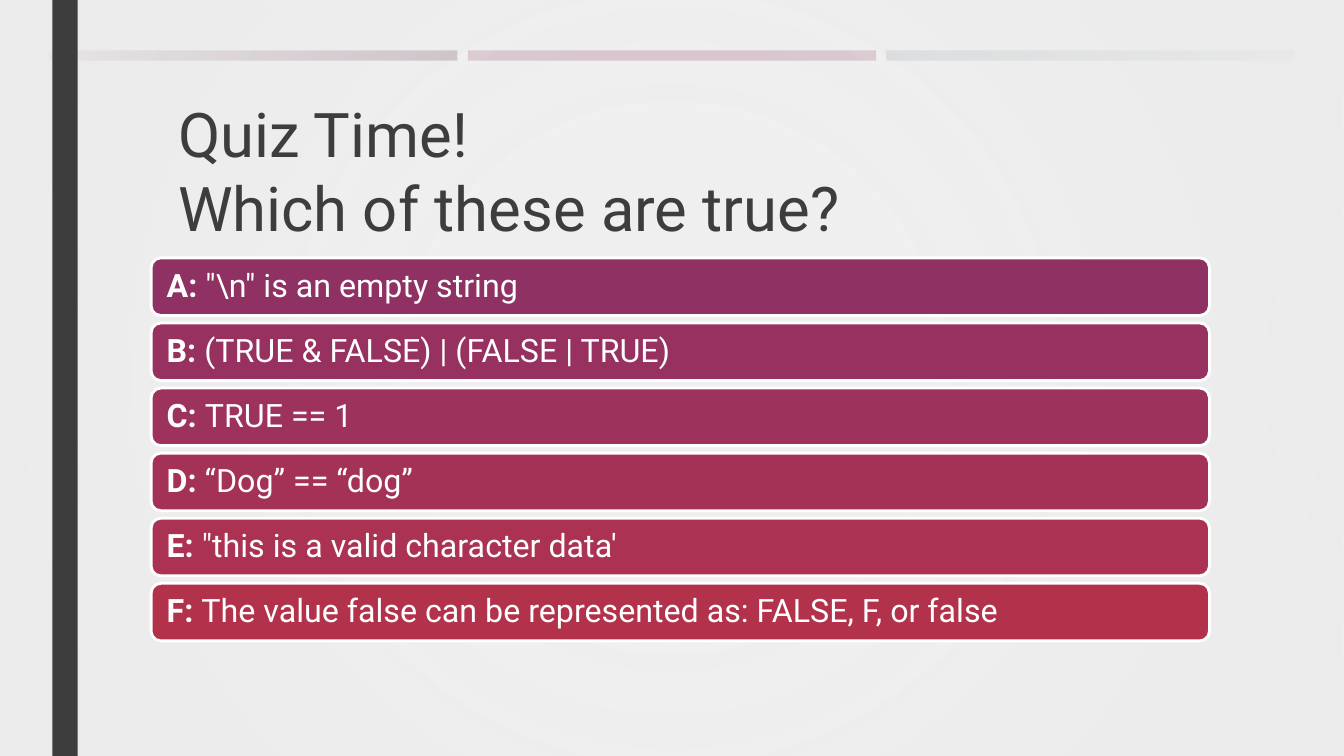
from lxml import etree
from pptx import Presentation
from pptx import util as u
from pptx.dml.color import RGBColor
from pptx.enum import shapes, text
from pptx.oxml import parse_xml
from pptx.oxml.ns import nsdecls, qn

ANSWERS = [
    ("A: ", '"\\n" is an empty string', "903163"),
    ("B: ", "(TRUE & FALSE) | (FALSE | TRUE)", "973160"),
    ("C: ", "TRUE == 1", "9D325C"),
    ("D: ", "“Dog” == “dog”", "A43257"),
    ("E: ", "\"this is a valid character data'", "AB3252"),
    ("F: ", "The value false can be represented as: FALSE, F, or false", "B2324B"),
]
TOP_BARS = [(1.24, "4D1434"), (11.79, "903163"), (22.33, "969FA7")]


def rgb(value):
    return RGBColor.from_string(value)


class QuizSlide:
    font = "Roboto"
    dark = "3D3D3D"
    light = "FFFFFF"
    veil_color = "EBEBEB"

    def __init__(self, prs):
        self.s = prs.slides.add_slide(prs.slide_layouts[6])

    def box(self, x, y, w, h, fill, kind=shapes.MSO_SHAPE.RECTANGLE, line=None):
        sp = self.s.shapes.add_shape(kind, u.Cm(x), u.Cm(y), u.Cm(w), u.Cm(h))
        sp.shadow.inherit = False
        sp.fill.solid()
        sp.fill.fore_color.rgb = rgb(fill)
        if line:
            sp.line.color.rgb = rgb(line)
            sp.line.width = u.Pt(2)
        else:
            sp.line.fill.background()
        return sp

    def veil(self, w, h):
        """Cover the slide with a radial fill, clearer in the middle."""
        sp = self.box(0, 0, w, h, self.veil_color)
        solid = sp.fill._xPr.find(qn("a:solidFill"))
        solid.getparent().replace(solid, parse_xml(
            f'<a:gradFill {nsdecls("a")} rotWithShape="1"><a:gsLst>'
            f'<a:gs pos="30000"><a:srgbClr val="{self.veil_color}">'
            '<a:alpha val="75000"/></a:srgbClr></a:gs>'
            f'<a:gs pos="100000"><a:srgbClr val="{self.veil_color}"/></a:gs>'
            '</a:gsLst><a:path path="circle">'
            '<a:fillToRect l="50000" t="50000" r="50000" b="50000"/>'
            '</a:path></a:gradFill>'))

    def style(self, r, size, color, bold=False):
        r.font.name = self.font
        r.font.size = u.Pt(size)
        r.font.bold = bold
        r.font.color.rgb = rgb(color)

    def title(self, x, y, w, h, lines):
        tf = self.s.shapes.add_textbox(u.Cm(x), u.Cm(y), u.Cm(w), u.Cm(h)).text_frame
        tf.word_wrap = True
        tf.vertical_anchor = text.MSO_ANCHOR.MIDDLE
        tf.text = "\n".join(lines)
        for p in tf.paragraphs:
            p.line_spacing = 0.89
            p.space_after = u.Pt(6)
            self.style(p.runs[0], 44, self.dark)

    def answer(self, x, y, w, h, label, statement, fill):
        sp = self.box(x, y, w, h, fill, shapes.MSO_SHAPE.ROUNDED_RECTANGLE, self.light)
        tf = sp.text_frame
        tf.word_wrap = True
        tf.vertical_anchor = text.MSO_ANCHOR.MIDDLE
        tf.margin_left = tf.margin_right = u.Cm(0.32)
        tf.margin_top = tf.margin_bottom = 0
        p = tf.paragraphs[0]
        p.alignment = text.PP_ALIGN.LEFT
        p.line_spacing = 0.9
        for words, bold in ((label, True), (statement, False)):
            r = p.add_run()
            r.text = words
            self.style(r, 23, self.light, bold)


def main():
    prs = Presentation()
    prs.slide_width, prs.slide_height = u.Cm(33.87), u.Cm(19.05)
    quiz = QuizSlide(prs)

    # Backdrop: three bars under a veil, then the dark side strip
    for x, color in TOP_BARS:
        quiz.box(x, 1.27, 10.29, 0.26, color)
    quiz.veil(33.87, 19.05)
    quiz.box(1.32, 0, 0.64, 19.05, quiz.dark)

    # Answers, evenly stacked
    for i, (label, statement, fill) in enumerate(ANSWERS):
        quiz.answer(3.81, 6.5 + 1.64 * i, 26.67, 1.45, label, statement, fill)

    # Title
    quiz.title(4.24, 2.34, 26.67, 4.11, ["Quiz Time!", "Which of these are true?"])

    prs.save("out.pptx")


if __name__ == "__main__":
    main()
